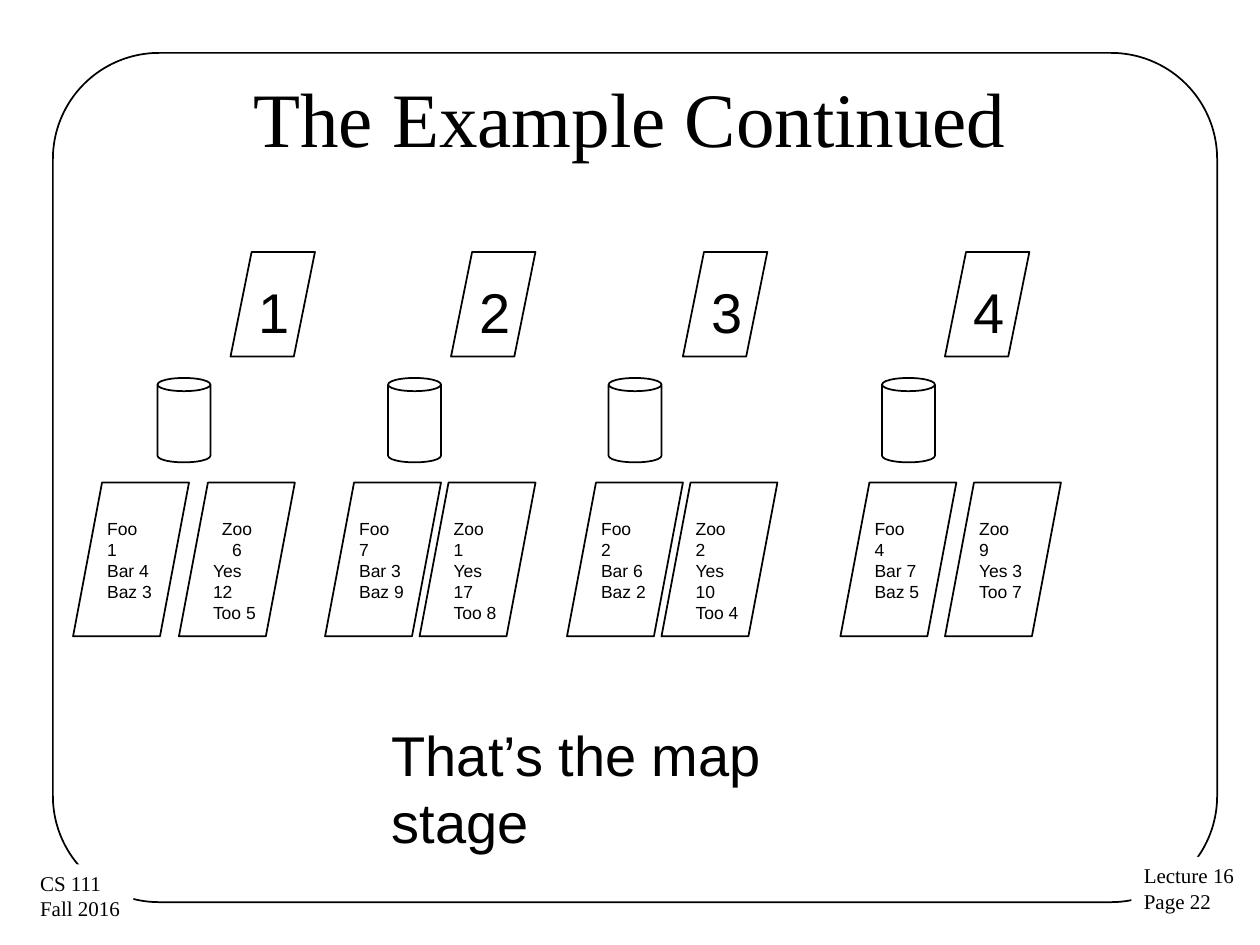
"""Build the slide that shows the map stage of the word-count example."""
from pptx import Presentation
from pptx.dml.color import RGBColor
from pptx.enum import shapes, text
from pptx.util import Inches, Pt

BLACK, WHITE = "000000", "FFFFFF"
SANS, SERIF = "Arial", "Times New Roman"
SHAPE, ALIGN = shapes.MSO_SHAPE, text.PP_ALIGN

TITLE = "The Example Continued"
CAPTION = "That’s the map stage"
FOOTERS = [
    ((8.98, 6.8, 0.93, 0.51), ["Lecture 16", "Page 22"]),
    ((0.22, 6.86, 0.84, 0.51), ["CS 111", "Fall 2016"]),
]
MAPPERS = [
    {"input": ("1", 1.83), "disk": 1.25, "outputs": [
        (0.58, ["Foo\n1", "Bar 4", "Baz 3"]), (1.42, ["Zoo\n6", "Yes 12", "Too 5"])]},
    {"input": ("2", 3.58), "disk": 3.08, "outputs": [
        (2.58, ["Foo\n7", "Bar 3", "Baz 9"]), (3.33, ["Zoo\n1", "Yes 17", "Too 8"])]},
    {"input": ("3", 5.42), "disk": 4.83, "outputs": [
        (4.5, ["Foo\n2", "Bar 6", "Baz 2"]), (5.25, ["Zoo\n2", "Yes 10", "Too 4"])]},
    {"input": ("4", 7.5), "disk": 7, "outputs": [
        (6.67, ["Foo\n4", "Bar 7", "Baz 5"]), (7.5, ["Zoo\n9", "Yes 3", "Too 7"])]},
]


def color(value):
    return RGBColor.from_string(value)


def add_shape(s, kind, box, fill=None, line=BLACK):
    sp = s.shapes.add_shape(kind, *map(Inches, box))
    sp.shadow.inherit = False
    if fill:
        sp.fill.solid()
        sp.fill.fore_color.rgb = color(fill)
    else:
        sp.fill.background()
    if line:
        sp.line.color.rgb = color(line)
        sp.line.width = Pt(1)
    else:
        sp.line.fill.background()
    return sp


def write(sp, lines, size, font, align=ALIGN.LEFT, anchor=text.MSO_ANCHOR.TOP, wrap=True):
    tf = sp.text_frame
    tf.word_wrap = wrap
    tf.vertical_anchor = anchor
    for i, line in enumerate(lines):
        p = tf.add_paragraph() if i else tf.paragraphs[0]
        p.alignment = align
        for j, part in enumerate(line.split("\n")):
            if j:
                p.add_line_break()
            r = p.add_run()
            r.text = part
            r.font.size = Pt(size)
            r.font.name = font
            r.font.color.rgb = color(BLACK)


def add_text(s, box, *args, **kwargs):
    write(s.shapes.add_textbox(*map(Inches, box)), *args, **kwargs)


def main():
    prs = Presentation()
    prs.slide_width, prs.slide_height = Inches(10), Inches(7.5)
    s = prs.slides.add_slide(prs.slide_layouts[6])

    frame = add_shape(s, SHAPE.ROUNDED_RECTANGLE, (0.42, 0.42, 9.24, 6.74))
    frame.adjustments[0] = 0.125
    for box, lines in FOOTERS:
        write(add_shape(s, SHAPE.RECTANGLE, box, WHITE, None), lines, 12, SERIF, wrap=False)
    add_text(s, (0.5, 0.3, 9, 1.25), [TITLE], 44, SERIF, ALIGN.CENTER, text.MSO_ANCHOR.MIDDLE)

    for mapper in MAPPERS:
        label, left = mapper["input"]
        sp = add_shape(s, SHAPE.PARALLELOGRAM, (left, 2, 0.67, 0.83))
        write(sp, [label], 32, SANS, ALIGN.CENTER)
        add_shape(s, SHAPE.CAN, (mapper["disk"], 3, 0.42, 0.67))
        for left, counts in mapper["outputs"]:
            sp = add_shape(s, SHAPE.PARALLELOGRAM, (left, 3.83, 0.92, 1.22))
            write(sp, counts, 10, SANS)
            if counts[0] == "Zoo\n6":
                sp.text_frame.paragraphs[0].alignment = ALIGN.CENTER

    add_text(s, (3.01, 5.67, 3.9, 0.64), [CAPTION], 32, SANS)
    prs.save("out.pptx")


if __name__ == "__main__":
    main()
